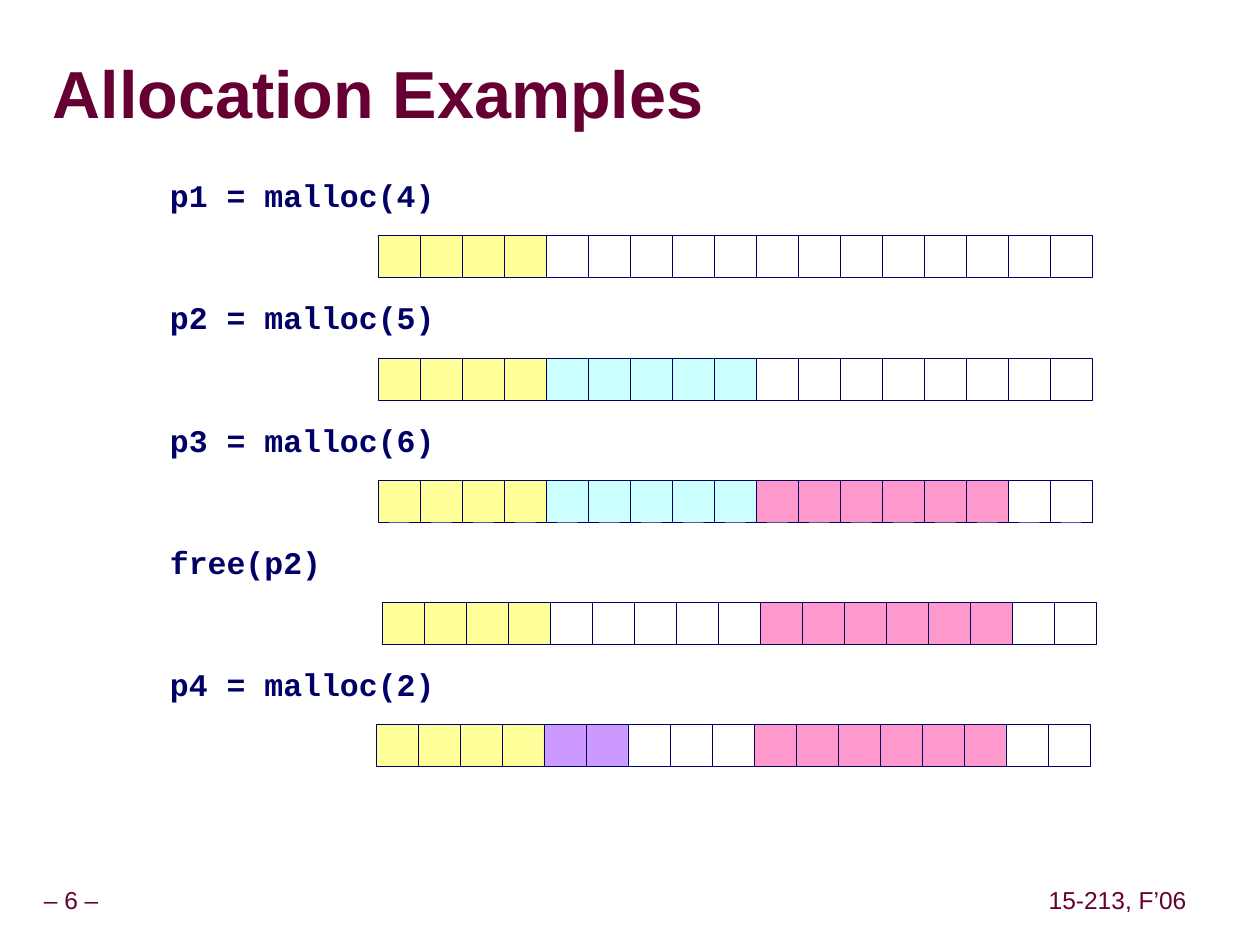
import dataclasses

import lxml.etree
import pptx
import pptx.dml.color
import pptx.enum.shapes
import pptx.enum.text
import pptx.oxml.ns
import pptx.util

WIDTH, HEIGHT = 10, 7.5
COLUMNS = 30
CELL = WIDTH / COLUMNS
FIRST_ROW, ROW_PITCH, LABEL_RISE = 1.87, 0.97, 0.52
HEAP_CELLS = 17


@dataclasses.dataclass(frozen=True)
class Theme:
    """Colours, fonts and type sizes of the slide."""

    maroon: str = "660033"
    navy: str = "000066"
    free: str = "FFFFFF"
    p1: str = "FFFF99"
    p2: str = "CCFFFF"
    p3: str = "FF99CC"
    p4: str = "CC99FF"
    shadow: str = "969696"
    sans: str = "Arial"
    mono: str = "Courier New"
    title_size: int = 38
    code_size: int = 18
    footer_size: int = 14
    line_width: float = 0.25


THEME = Theme()

STEPS = [
    ("p1 = malloc(4)", 9, [("p1", 4)]),
    ("p2 = malloc(5)", 9, [("p1", 4), ("p2", 5)]),
    ("p3 = malloc(6)", 9, [("p1", 4), ("p2", 5), ("p3", 6)]),
    ("free(p2)", 9.1, [("p1", 4), ("free", 5), ("p3", 6)]),
    ("p4 = malloc(2)", 8.95, [("p1", 4), ("p4", 2), ("free", 3), ("p3", 6)]),
]


def rgb(value):
    """Return a colour object for a hex string."""
    return pptx.dml.color.RGBColor.from_string(value)


def add_text(slide, text, box, font, size, color, bold=False, margins=(0, 0),
             middle=False, centered=False, wrap=False, spacing=None):
    """Add a one-paragraph text box and return its paragraph."""
    sp = slide.shapes.add_textbox(*(pptx.util.Inches(v) for v in box))
    tf = sp.text_frame
    tf.word_wrap = wrap
    tf.margin_left = tf.margin_right = pptx.util.Inches(margins[0])
    tf.margin_top = tf.margin_bottom = pptx.util.Inches(margins[1])
    anchors = pptx.enum.text.MSO_ANCHOR
    tf.vertical_anchor = anchors.MIDDLE if middle else anchors.TOP
    p = tf.paragraphs[0]
    p.text = text
    if centered:
        p.alignment = pptx.enum.text.PP_ALIGN.CENTER
    if spacing:
        p.line_spacing = spacing
    p.font.name = font
    p.font.size = pptx.util.Pt(size)
    p.font.bold = bold
    p.font.color.rgb = rgb(color)
    return p


def add_title(slide, text):
    """Add the title with its text shadow."""
    p = add_text(slide, text, (0.42, 0.46, 7.07, 0.63), THEME.sans,
                 THEME.title_size, THEME.maroon, bold=True, middle=True,
                 wrap=True, spacing=0.87)
    r = p.runs[0]
    r.font.color.rgb = rgb(THEME.maroon)
    qn = pptx.oxml.ns.qn
    effects = lxml.etree.Element(qn("a:effectLst"))
    shadow = lxml.etree.SubElement(effects, qn("a:outerShdw"),
                                   dist="38100", dir="2700000")
    lxml.etree.SubElement(shadow, qn("a:srgbClr"), val=THEME.shadow)
    r.font.fill
    r._r.rPr.find(qn("a:solidFill")).addnext(effects)


def add_footer(slide, text, left, width):
    """Add a centred footer text at the foot of the slide."""
    add_text(slide, text, (left, 7, width, 0.31), THEME.sans,
             THEME.footer_size, THEME.maroon, margins=(0.05, 0.05),
             middle=True, centered=True, spacing=0.9)


def add_cell(slide, column, top, color):
    """Add one heap word at a grid column."""
    sp = slide.shapes.add_shape(
        pptx.enum.shapes.MSO_SHAPE.RECTANGLE,
        *(pptx.util.Inches(v) for v in (column * CELL, top, CELL, CELL)))
    sp.shadow.inherit = False
    sp.fill.solid()
    sp.fill.fore_color.rgb = rgb(color)
    sp.line.color.rgb = rgb(THEME.navy)
    sp.line.width = pptx.util.Pt(THEME.line_width)


def add_step(slide, row, code, first_column, blocks):
    """Add a call and the heap state that follows it."""
    top = FIRST_ROW + row * ROW_PITCH
    words = [name for name, count in blocks for _ in range(count)]
    words += ["free"] * (HEAP_CELLS - len(words))
    for i, name in enumerate(words):
        add_cell(slide, first_column + i, top, getattr(THEME, name))
    add_text(slide, code, (1.25, top - LABEL_RISE, 2.3, 0.4), THEME.mono,
             THEME.code_size, THEME.navy, bold=True, margins=(0.1, 0.05),
             wrap=True)


def main():
    """Build the slide and save it."""
    prs = pptx.Presentation()
    prs.slide_width = pptx.util.Inches(WIDTH)
    prs.slide_height = pptx.util.Inches(HEIGHT)
    slide = prs.slides.add_slide(prs.slide_layouts[6])
    add_footer(slide, "– 6 –", -0.09, 1.31)
    add_footer(slide, "15-213, F’06", 8.27, 1.2)
    add_title(slide, "Allocation Examples")
    for row, step in enumerate(STEPS):
        add_step(slide, row, *step)
    prs.save("out.pptx")


if __name__ == "__main__":
    main()
